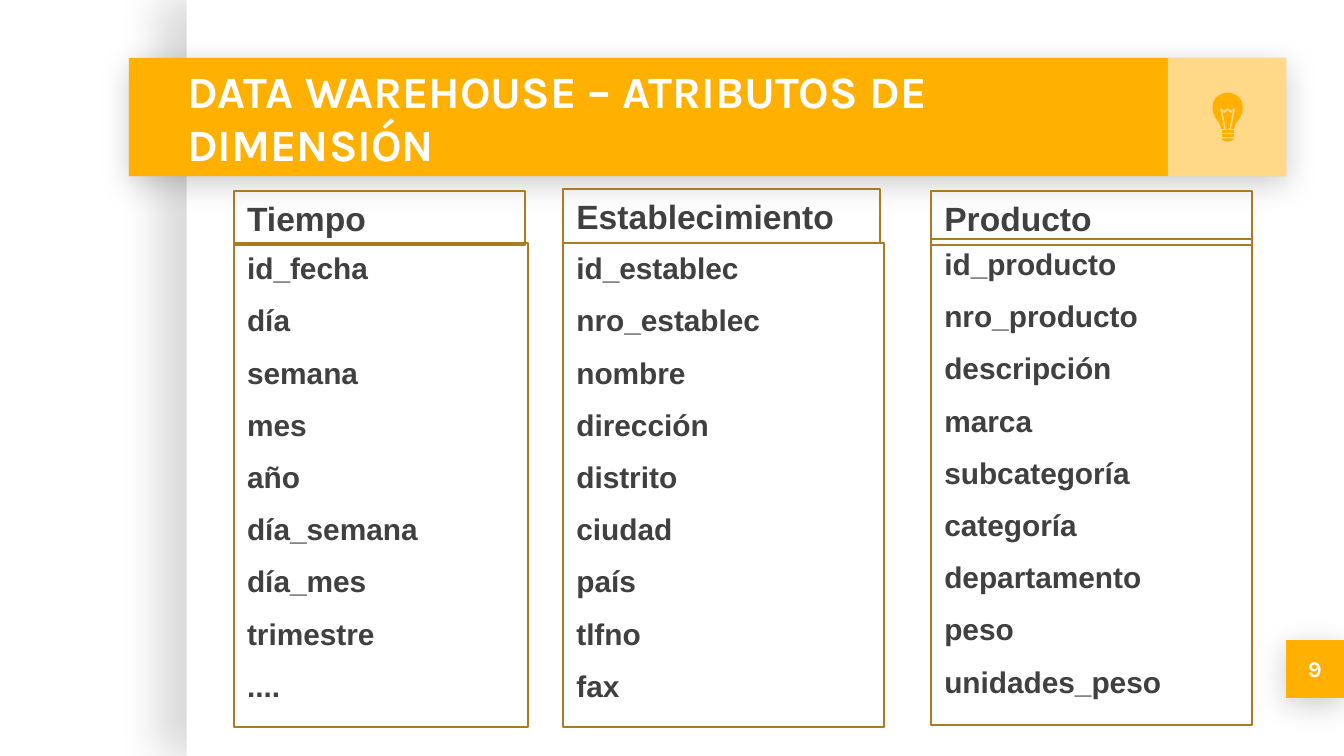
import pptx
import pptx.util
import pptx.dml.color
import pptx.enum.shapes
import pptx.enum.text
import pptx.oxml
import pptx.oxml.ns
from lxml import etree

Pt = pptx.util.Pt
RGB = pptx.dml.color.RGBColor.from_string
MIDDLE = pptx.enum.text.MSO_ANCHOR.MIDDLE
A = pptx.oxml.ns.nsdecls("a")
COLORS = {"white": "FFFFFF", "amber": "FFB000", "border": "AB7A22", "text": "404040"}

prs = pptx.Presentation()
prs.slide_width, prs.slide_height = Pt(720), Pt(405)
s = prs.slides.add_slide(prs.slide_layouts[6])


def add_box(x, y, w, h, fill=None, line=None, shadow=None):
    """Add a rectangle; shadow is (opacity %, blur pt, distance pt, angle)."""
    sp = s.shapes.add_shape(pptx.enum.shapes.MSO_SHAPE.RECTANGLE, Pt(x), Pt(y), Pt(w), Pt(h))
    sp.shadow.inherit = False
    if fill:
        sp.fill.solid()
        sp.fill.fore_color.rgb = RGB(COLORS[fill])
    else:
        sp.fill.background()
    if line:
        sp.line.color.rgb = RGB(COLORS[line])
        sp.line.width = Pt(1)
    else:
        sp.line.fill.background()
    if shadow:
        opacity, blur, dist, angle = shadow
        effects = sp._element.spPr.find(pptx.oxml.ns.qn("a:effectLst"))
        effects.append(pptx.oxml.parse_xml(
            f'<a:outerShdw {A} blurRad="{Pt(blur)}" dist="{Pt(dist)}" dir="{angle * 60000}" '
            f'algn="bl" rotWithShape="0"><a:srgbClr val="000000">'
            f'<a:alpha val="{opacity * 1000}"/></a:srgbClr></a:outerShdw>'))
    return sp


def write(sp, lines, size, color, font="Arial", align=pptx.enum.text.PP_ALIGN.LEFT, gap=0):
    tf = sp.text_frame
    tf.word_wrap = True
    for i, line in enumerate(lines):
        p = tf.paragraphs[0] if i == 0 else tf.add_paragraph()
        p.text = line
        p.alignment = align
        p.space_before = Pt(gap)
        p.font.size, p.font.name, p.font.bold = Pt(size), font, True
        p.font.color.rgb = RGB(COLORS[color])
    return tf


# Page panel, title band and page number
add_box(100, 0, 620, 405, "white", shadow=(15, 22.5, 15, 180))
number = add_box(689, 342.9, 31, 31, "amber", shadow=(20, 16.9, 3.8, 90))
add_box(69.1, 31, 620, 63.4, "amber", shadow=(20, 16.9, 3.8, 90))
icon_tile = add_box(625.6, 31, 63.4, 63.4, "white")
tile_color = icon_tile.fill._xPr.find(".//" + pptx.oxml.ns.qn("a:srgbClr"))
etree.SubElement(tile_color, pptx.oxml.ns.qn("a:alpha"), val="53000")

title = s.shapes.add_textbox(Pt(93.2), Pt(31), Pt(530.6), Pt(63.4))
tf = write(title, ["DATA WAREHOUSE – ATRIBUTOS DE DIMENSIÓN"], 24, "white", "Karla")
tf.vertical_anchor = MIDDLE
tf.margin_left = tf.margin_right = tf.margin_top = tf.margin_bottom = Pt(7.2)
tf = write(number, ["9"], 12, "white", "Karla", pptx.enum.text.PP_ALIGN.CENTER)
tf.vertical_anchor = MIDDLE
tf.margin_left = tf.margin_right = tf.margin_top = tf.margin_bottom = Pt(7.2)

# Light bulb: right halves as (distance from axis, distance from top), mirrored
AXIS, BULB_TOP = 657.7, 49.7
bulb_halves = [
    [(0, 0), (1.8, 0.1), (3.2, 0.7), (4.7, 1.4), (6.1, 2.5), (7.2, 4), (7.9, 5.8),
     (8.1, 7.9), (7.9, 10.1), (6.8, 13), (5.4, 15.1), (4.3, 16.6), (3.8, 18),
     (3.4, 19.4), (1.8, 19.4), (3.2, 13), (4, 8.6), (3.6, 7.9), (3.2, 8.6),
     (1.8, 9.4), (0.4, 8.6), (0, 7.9)],
    [(0, 9.4), (1.4, 10.8), (2, 10.8), (2.8, 9.4), (1, 19.4)],
    [(3.2, 20.2), (3.2, 21.6)],
    [(3.2, 22.3), (3.2, 23.8)],
    [(3.2, 24.5), (3.2, 25.2), (0.6, 26.2)],
]
for half in bulb_halves:
    outline = half + [(-dx, dy) for dx, dy in reversed(half)]
    points = [((AXIS + dx) * 100, (BULB_TOP + dy) * 100) for dx, dy in outline]
    fb = s.shapes.build_freeform(*points[0], scale=Pt(0.01))
    fb.add_line_segments(points[1:], close=True)
    sp = fb.convert_to_shape()
    sp.shadow.inherit = False
    sp.fill.solid()
    sp.fill.fore_color.rgb = RGB(COLORS["amber"])
    sp.line.fill.background()

# Dimensions: name, left, header top and width, body top, width and height, attributes
dimensions = [
    ("Establecimiento", 301.7, 101.3, 169.9, 130.3, 172.1, 259.2,
     ["id_establec", "nro_establec", "nombre", "dirección", "distrito",
      "ciudad", "país", "tlfno", "fax"]),
    ("Tiempo", 125.3, 102.4, 156, 130.3, 157.7, 259.2,
     ["id_fecha", "día", "semana", "mes", "año", "día_semana", "día_mes",
      "trimestre", "...."]),
    ("Producto", 498.8, 102.4, 172.1, 128, 172.1, 260.4,
     ["id_producto", "nro_producto", "descripción", "marca", "subcategoría",
      "categoría", "departamento", "peso", "unidades_peso"]),
]
for name, x, head_y, head_w, body_y, body_w, body_h, attributes in dimensions:
    body = add_box(x, body_y, body_w, body_h, line="border")
    header = add_box(x, head_y, head_w, 29, line="border")
    for sp, lines, size in ((body, attributes, 16), (header, [name], 18)):
        tf = write(sp, lines, size, "text", gap=8.8)
        tf.vertical_anchor = pptx.enum.text.MSO_ANCHOR.TOP

prs.save("out.pptx")
